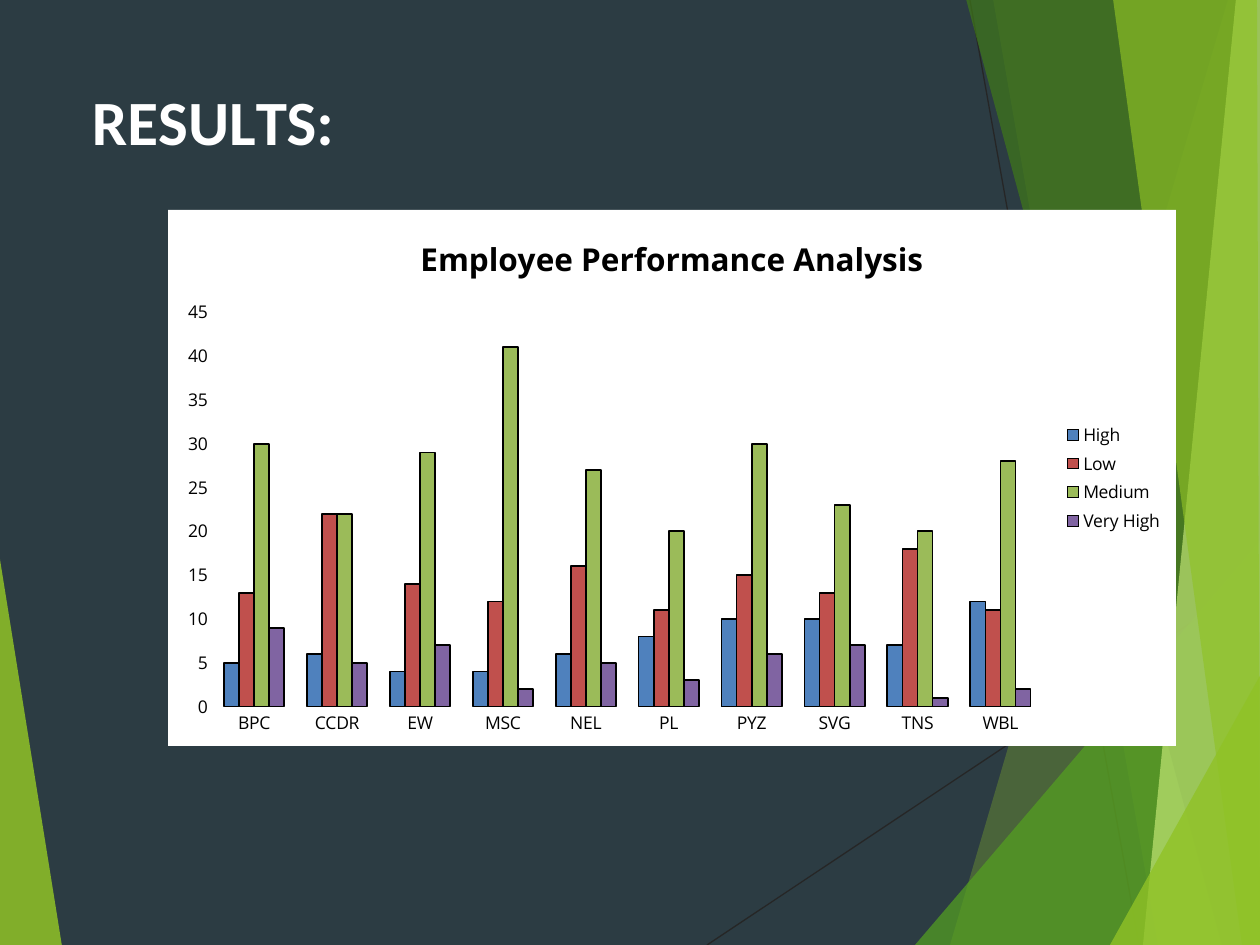
"""Build a results slide with a clustered column chart of employee performance."""
from lxml import etree
from pptx import Presentation
from pptx import util as u
from pptx.chart import data as chart_data
from pptx.dml import color
from pptx.enum import chart as chart_enum, shapes, text
from pptx.oxml import ns

SCALE = u.Inches(1) / 126
WIDTH, HEIGHT = 1260, 945
RIGHT = 1261

RAYS = [[(707, HEIGHT), (RIGHT, 576)], [(970, 0), (1139, HEIGHT)]]
FACETS = [
    ("90C226", 85, [(-1, 553), (62, 946), (-1, HEIGHT)]),
    ("90C226", 30, [(1228, 0), (950, HEIGHT), (RIGHT, HEIGHT), (RIGHT, 0)]),
    ("90C226", 20, [(993, -1), (1158, HEIGHT), (RIGHT, HEIGHT), (RIGHT, -1)]),
    ("54A021", 72, [(915, HEIGHT), (1260, 541), (RIGHT, HEIGHT)]),
    ("3F7819", 70, [(966, -1), (1222, HEIGHT), (RIGHT, HEIGHT), (RIGHT, -1)]),
    ("C0E474", 70, [(1236, -1), (1143, HEIGHT), (RIGHT, HEIGHT), (1260, -1)]),
    ("90C226", 65, [(1113, -1), (1242, HEIGHT), (1260, HEIGHT), (1257, -1)]),
    ("90C226", 80, [(1110, HEIGHT), (RIGHT, 674), (RIGHT, HEIGHT)]),
]
HEADING = [("R", 0), ("E", -40), ("S", 10), ("U", -30), ("L", -400), ("TS:", 0)]
DEPARTMENTS = ["BPC", "CCDR", "EW", "MSC", "NEL", "PL", "PYZ", "SVG", "TNS", "WBL"]
RATINGS = [
    ("High", "4F81BD", [5, 6, 4, 4, 6, 8, 10, 10, 7, 12]),
    ("Low", "C0504D", [13, 22, 14, 12, 16, 11, 15, 13, 18, 11]),
    ("Medium", "9BBB59", [30, 22, 29, 41, 27, 20, 30, 23, 20, 28]),
    ("Very High", "8064A2", [9, 5, 7, 2, 5, 3, 6, 7, 1, 2]),
]
CHART_FONT = {"name": "Open Sans", "size": u.Pt(10), "bold": False}
TITLE_FONT = {"name": "Open Sans", "size": u.Pt(18), "bold": True}
HEADING_FONT = {"name": "Calibri", "size": u.Pt(36), "bold": True}


def px(*lengths):
    """Turn pixel lengths into a list of EMU."""
    return [u.Emu(round(length * SCALE)) for length in lengths]


def rgb(value):
    """Return the colour for a hex string."""
    return color.RGBColor.from_string(value)


def assign(target, values):
    """Set each attribute of the target from a dict."""
    for name, value in values.items():
        setattr(target, name, value)


def style_font(font, values, ink):
    """Apply format values and a colour to a font."""
    assign(font, values)
    font.color.rgb = rgb(ink)


def paint(fill, value):
    """Make a fill solid in one colour."""
    fill.solid()
    fill.fore_color.rgb = rgb(value)


def add_ray(page, start, end):
    """Draw one thin background line."""
    ray = page.shapes.add_connector(
        shapes.MSO_CONNECTOR.STRAIGHT, *px(*start, *end))
    ray.line.color.rgb = rgb("262626")
    ray.line.width = u.Pt(0.75)
    etree.SubElement(ray._element.spPr, ns.qn("a:effectLst"))


def add_facet(page, value, opacity, points):
    """Draw one translucent background polygon."""
    first, *others = [tuple(px(*point)) for point in points]
    builder = page.shapes.build_freeform(*first)
    builder.add_line_segments(others, close=True)
    facet = builder.convert_to_shape()
    facet.shadow.inherit = False
    facet.line.fill.background()
    paint(facet.fill, value)
    tint = facet._element.spPr.find(".//" + ns.qn("a:srgbClr"))
    etree.SubElement(tint, ns.qn("a:alpha"), val=str(opacity * 1000))


def add_heading(page):
    """Add the heading with its letter spacing."""
    box = page.shapes.add_textbox(*px(84, 73, 368, 89))
    left, top = px(8, 10)
    assign(box.text_frame, {
        "word_wrap": True, "margin_left": left, "margin_top": top,
        "margin_bottom": 0, "auto_size": text.MSO_AUTO_SIZE.NONE})
    para = box.text_frame.paragraphs[0]
    for letters, spacing in HEADING:
        span = para.add_run()
        span.text = letters
        style_font(span.font, HEADING_FONT, "FFFFFF")
        span.font._element.set("spc", str(spacing))


def white_area():
    """Return chart shape properties with a white fill and no line."""
    area = etree.Element(ns.qn("c:spPr"))
    solid = etree.SubElement(area, ns.qn("a:solidFill"))
    etree.SubElement(solid, ns.qn("a:srgbClr"), val="FFFFFF")
    line = etree.SubElement(area, ns.qn("a:ln"))
    etree.SubElement(line, ns.qn("a:noFill"))
    return area


def style_axis(axis):
    """Give an axis plain labels without line or ticks."""
    assign(axis, {"major_tick_mark": chart_enum.XL_TICK_MARK.NONE,
                  "minor_tick_mark": chart_enum.XL_TICK_MARK.NONE})
    axis.format.line.fill.background()
    style_font(axis.tick_labels.font, CHART_FONT, "000000")


def add_performance_chart(page):
    """Add the clustered column chart."""
    table = chart_data.CategoryChartData()
    table.categories = DEPARTMENTS
    for name, _, values in RATINGS:
        table.add_series(name, values)
    chart = page.shapes.add_chart(
        chart_enum.XL_CHART_TYPE.COLUMN_CLUSTERED,
        *px(168, 210, 1008, 536), table).chart
    style_font(chart.font, CHART_FONT, "000000")

    assign(chart, {"has_title": True, "has_legend": True})
    para = chart.chart_title.text_frame.paragraphs[0]
    span = para.add_run()
    span.text = "Employee Performance Analysis"
    style_font(span.font, TITLE_FONT, "000000")
    assign(chart.legend, {"position": chart_enum.XL_LEGEND_POSITION.RIGHT,
                          "include_in_layout": False})
    style_font(chart.legend.font, CHART_FONT, "000000")

    for axis in (chart.category_axis, chart.value_axis):
        style_axis(axis)
    assign(chart.value_axis, {"minimum_scale": 0, "maximum_scale": 45,
                              "major_unit": 5, "has_major_gridlines": True})
    chart.value_axis.major_gridlines.format.line.fill.background()

    plot = chart.plots[0]
    assign(plot, {"gap_width": 150, "overlap": 0, "vary_by_categories": False})
    for series, (_, value, _) in zip(plot.series, RATINGS):
        paint(series.format.fill, value)
        series.format.line.color.rgb = rgb("000000")
        series.format.line.width = u.Pt(1)

    body = chart._chartSpace.find(ns.qn("c:chart"))
    body.addnext(white_area())
    body.find(ns.qn("c:plotArea")).append(white_area())


def main():
    """Build and save the slide."""
    deck = Presentation()
    deck.slide_width, deck.slide_height = px(WIDTH, HEIGHT)
    page = deck.slides.add_slide(deck.slide_layouts[6])
    paint(page.background.fill, "2C3C43")
    for start, end in RAYS:
        add_ray(page, start, end)
    for value, opacity, points in FACETS:
        add_facet(page, value, opacity, points)
    add_heading(page)
    add_performance_chart(page)
    deck.save("out.pptx")


if __name__ == "__main__":
    main()
